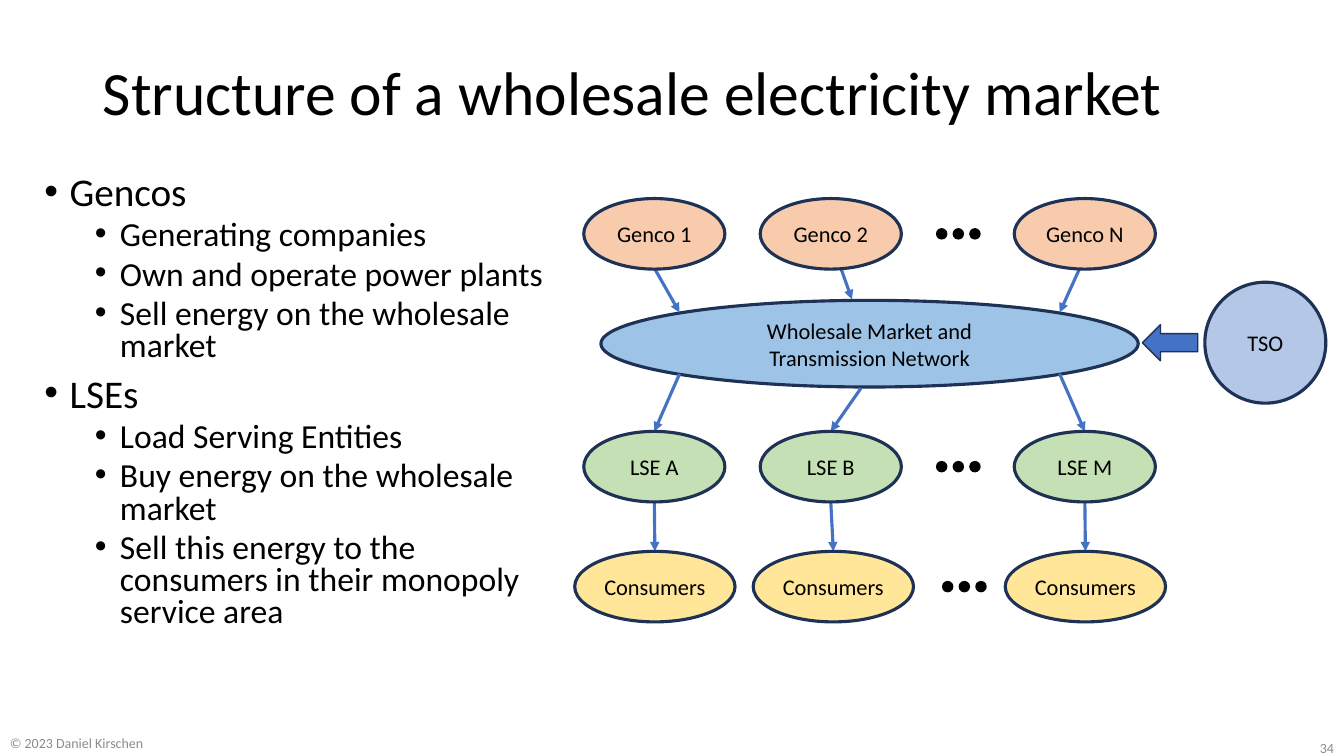
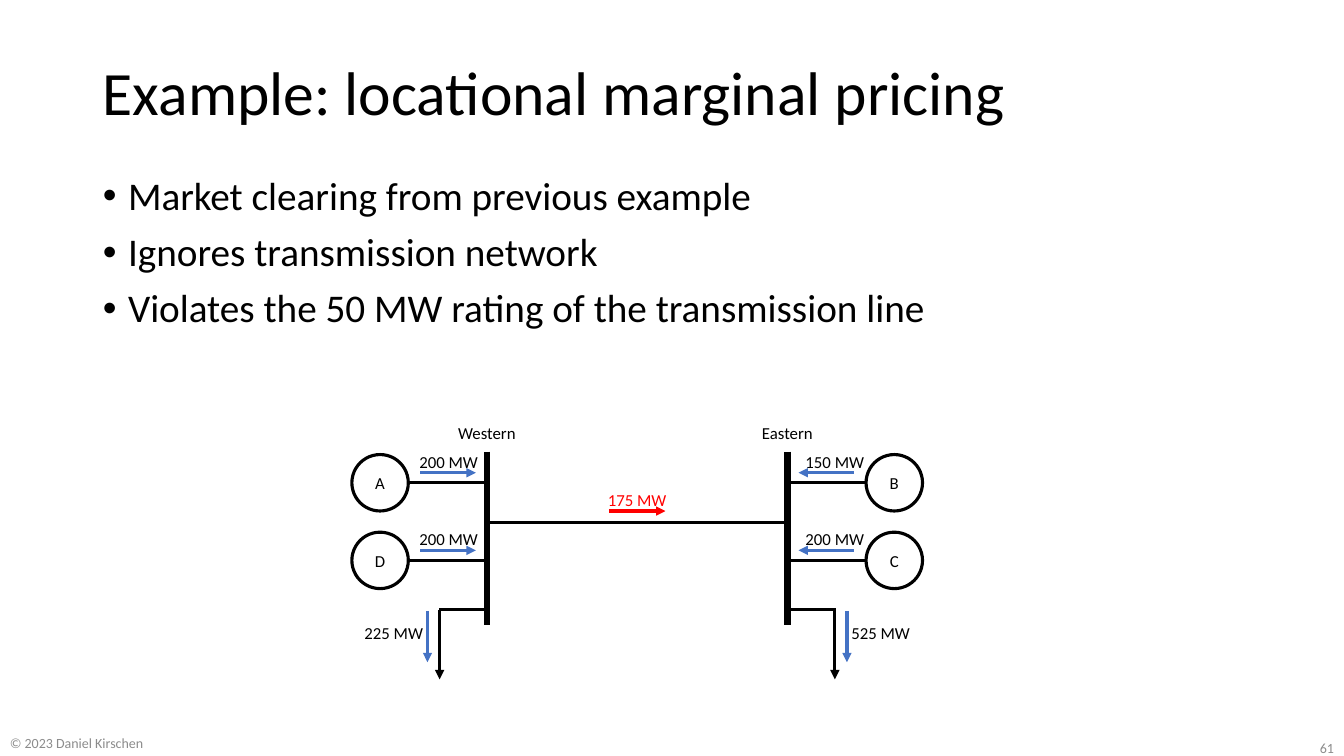
from dataclasses import dataclass
from typing import Any

from lxml import etree
from pptx import Presentation
from pptx.dml.color import RGBColor
from pptx.enum.shapes import MSO_CONNECTOR, MSO_SHAPE
from pptx.enum.text import MSO_ANCHOR, MSO_AUTO_SIZE, PP_ALIGN
from pptx.oxml.ns import qn
from pptx.util import Inches, Pt

ELLIPSE, LEFT_ARROW = MSO_SHAPE.OVAL, MSO_SHAPE.LEFT_ARROW
STRAIGHT = MSO_CONNECTOR.STRAIGHT
LEFT, CENTER, RIGHT = PP_ALIGN.LEFT, PP_ALIGN.CENTER, PP_ALIGN.RIGHT
TOP, MIDDLE = MSO_ANCHOR.TOP, MSO_ANCHOR.MIDDLE
NO_AUTOFIT = MSO_AUTO_SIZE.NONE

FONT = "Calibri"
COLORS = {
    "black": "000000", "white": "FFFFFF", "gray": "8C8C8C", "red": "FF0000",
    "blue": "4472C4", "outline": "1E3256", "market": "9DC3E6", "tso": "B4C7E7",
    "genco": "F8CBAD", "lse": "C5E0B4", "consumer": "FFE699",
}

# The slide is a grid of 133.3 columns by 75 rows
COLUMNS, ROWS = 133.3, 75
TITLE_BOX = (9.2, 4, 115, 11)
FOOTER_BOX = (0, 72.1, 34.4, 3.3)
NUMBER_BOX = (103.3, 72.6, 30, 3.1)
# Bullet levels: size, indent in columns, space before
LEVELS = [(28, 2.5, 10), (24, 7.5, 5)]


def grid(*cells):
    return [Inches(cell / 10) for cell in cells]


def color(name):
    return RGBColor.from_string(COLORS[name])


def format_text(text_frame, size, color_name="black", align=LEFT, anchor=MIDDLE, wrap=True):
    text_frame.word_wrap = wrap
    text_frame.auto_size = NO_AUTOFIT
    text_frame.vertical_anchor = anchor
    for paragraph in text_frame.paragraphs:
        paragraph.alignment = align
        for run in paragraph.runs:
            run.font.name = FONT
            run.font.size = Pt(size)
            run.font.color.rgb = color(color_name)


def place(shape, box):
    shape.left, shape.top, shape.width, shape.height = grid(*box)


def add_text(slide, box, text, size, color_name="black", align=LEFT, wrap=True):
    text_box = slide.shapes.add_textbox(*grid(*box))
    text_box.text_frame.text = text
    format_text(text_box.text_frame, size, color_name, align, MIDDLE, wrap)


@dataclass
class Panel:
    """Drawing area whose parts are placed from its top left corner."""
    slide: Any
    left: float
    top: float

    def shape(self, kind, box, fill, line, width, text="", size=16):
        x, y, columns, rows = box
        shape = self.slide.shapes.add_shape(
            kind, *grid(self.left + x, self.top + y, columns, rows))
        shape.shadow.inherit = False
        shape.fill.solid()
        shape.fill.fore_color.rgb = color(fill)
        shape.line.color.rgb = color(line)
        shape.line.width = Pt(width)
        if text:
            frame = shape.text_frame
            frame.margin_left = frame.margin_right = 0
            frame.text = text
            format_text(frame, size, align=CENTER, wrap=False)

    def line(self, start, end, color_name="black", width=2.25, arrow=False):
        connector = self.slide.shapes.add_connector(STRAIGHT, *grid(
            self.left + start[0], self.top + start[1],
            self.left + end[0], self.top + end[1]))
        connector.line.color.rgb = color(color_name)
        connector.line.width = Pt(width)
        if arrow:
            outline = connector.line._get_or_add_ln()
            etree.SubElement(outline, qn("a:tailEnd"), type="triangle")
        etree.SubElement(connector._element.spPr, qn("a:effectLst"))

    def label(self, center, middle, text, color_name="black"):
        box = (self.left + center - 4, self.top + middle - 1.5, 8, 3)
        add_text(self.slide, box, text, 12, color_name, CENTER, wrap=False)


# Title, bullets and footer
def add_bullets(placeholder, box, items, spacing):
    place(placeholder, box)
    frame = placeholder.text_frame
    frame.text = "\n".join(text for level, text in items)
    format_text(frame, LEVELS[0][0], anchor=TOP)
    for paragraph, (level, text) in zip(frame.paragraphs, items):
        size, indent, space = LEVELS[level]
        paragraph.level = level
        paragraph.line_spacing = spacing
        paragraph.space_before = Pt(space)
        paragraph.space_after = Pt(0)
        paragraph.runs[0].font.size = Pt(size)
        properties = paragraph._p.get_or_add_pPr()
        properties.set("marL", str(Inches(indent / 10)))
        properties.set("indent", str(-Inches(0.25)))
        etree.SubElement(properties, qn("a:buFont"), typeface="Arial")
        etree.SubElement(properties, qn("a:buChar"), char="•")


def add_slide(presentation, title, number, body_box, items, spacing):
    slide = presentation.slides.add_slide(presentation.slide_layouts[1])
    heading = slide.shapes.title
    place(heading, TITLE_BOX)
    heading.text_frame.text = title
    format_text(heading.text_frame, 44)
    heading.text_frame.paragraphs[0].line_spacing = 0.9
    add_bullets(slide.placeholders[1], body_box, items, spacing)
    add_text(slide, FOOTER_BOX, "© 2023 Daniel Kirschen", 10, "gray")
    add_text(slide, NUMBER_BOX, str(number), 10, "gray", RIGHT)
    return slide


# Wholesale market diagram
def draw_company_row(panel, top, labels, fill, width, centers, dots_center):
    for center, text in zip(centers, labels):
        panel.shape(ELLIPSE, (center - width / 2, top, width, 7),
                    fill, "outline", 2.25, text)
    for step in (-1, 0, 1):
        panel.shape(ELLIPSE, (dots_center + step * 1.65 - 0.5, top + 3, 1, 1),
                    "black", "black", 1)


def draw_market(panel):
    genco_top, lse_top, consumer_top = 0, 23.1, 35
    centers = (7.9, 25.4, 50.6)
    consumer_centers = (7.95, 25.65, 50.65)

    panel.shape(ELLIPSE, (2.6, 10.1, 53.3, 8.6), "market", "outline", 2.25,
                "Wholesale Market and\nTransmission Network")
    panel.shape(ELLIPSE, (62.5, 8.3, 12, 12), "tso", "outline", 2.25, "TSO")
    panel.shape(LEFT_ARROW, (56.3, 12.5, 5.5, 3.6), "blue", "outline", 1)

    # Energy flows from the gencos to the market, the LSEs and the consumers
    sales = zip((7.9, 26.4, 50.1), ((10.4, 11.3), (27.5, 10), (48.1, 11.3)))
    for start, market_entry in sales:
        panel.line((start, genco_top + 6.9), market_entry, "blue", arrow=True)
    market_exits = ((10.4, 17.4), (28.4, 18.8), (48.1, 17.4))
    for center, market_exit, consumer in zip(centers, market_exits, consumer_centers):
        panel.line(market_exit, (center, lse_top), "blue", arrow=True)
        panel.line((center, lse_top + 7), (consumer, consumer_top), "blue", arrow=True)

    draw_company_row(panel, genco_top, ("Genco 1", "Genco 2", "Genco N"),
                     "genco", 14, centers, 38.05)
    draw_company_row(panel, lse_top, ("LSE A", "LSE B", "LSE M"),
                     "lse", 14, centers, 38.05)
    draw_company_row(panel, consumer_top, ("Consumers",) * 3,
                     "consumer", 15.9, consumer_centers, 38.65)


# Two-bus network diagram
def draw_bus(panel, bus, side, name, generators, load, label_offset):
    """Draw a bus whose generators and load lie on one side (-1 left, 1 right)."""
    def away(distance):
        return bus + side * distance

    bus_top, bus_bottom, load_row, load_end = 3.4, 20.6, 19.1, 26
    panel.line((bus, bus_top), (bus, bus_bottom), width=4.5)
    panel.label(bus, 1.5, name)
    for index, (generator, output) in enumerate(generators):
        row = 6.5 + index * 7.7
        panel.shape(ELLIPSE, (away(10.6) - 2.8, row - 2.8, 5.6, 5.6),
                    "white", "black", 2.25, generator, 12)
        panel.line((away(7.8), row), (bus, row))
        panel.line((away(6.6), row - 1), (away(1.1), row - 1), "blue", arrow=True)
        panel.label(away(label_offset), row - 2.1, output)
    panel.line((bus, load_row), (away(4.8), load_row))
    panel.line((away(4.7), load_row), (away(4.7), load_end), arrow=True)
    panel.line((away(5.9), load_row + 0.1), (away(5.9), load_row + 5.2), "blue", arrow=True)
    panel.label(away(9.25), load_row + 2.3, load)


def draw_network(panel):
    west, east = 13.3, 43.1
    draw_bus(panel, west, -1, "Western", (("A", "200 MW"), ("D", "200 MW")), "225 MW", 3.8)
    draw_bus(panel, east, 1, "Eastern", (("B", "150 MW"), ("C", "200 MW")), "525 MW", 4.7)
    # Transmission line and its flow
    panel.line((west, 10.4), (east, 10.4))
    panel.line((25.4, 9.3), (31, 9.3), "red", arrow=True)
    panel.label(28.2, 8.2, "175 MW", "red")


def main():
    presentation = Presentation()
    presentation.slide_width, presentation.slide_height = grid(COLUMNS, ROWS)

    market_items = [
        (0, "Gencos"),
        (1, "Generating companies"),
        (1, "Own and operate power plants"),
        (1, "Sell energy on the wholesale market"),
        (0, "LSEs"),
        (1, "Load Serving Entities"),
        (1, "Buy energy on the wholesale market"),
        (1, "Sell this energy to the consumers in their monopoly service area"),
    ]
    slide = add_slide(presentation, "Structure of a wholesale electricity market", 34,
                      (3.4, 17, 51.8, 50.5), market_items, 0.8)
    draw_market(Panel(slide, 57, 19.7))

    pricing_items = [
        (0, "Market clearing from previous example"),
        (0, "Ignores transmission network"),
        (0, "Violates the 50 MW rating of the transmission line"),
    ]
    slide = add_slide(presentation, "Example: locational marginal pricing", 61,
                      (9.2, 17, 115, 22.4), pricing_items, 0.9)
    draw_network(Panel(slide, 35, 41.4))

    presentation.save("out.pptx")


if __name__ == "__main__":
    main()
